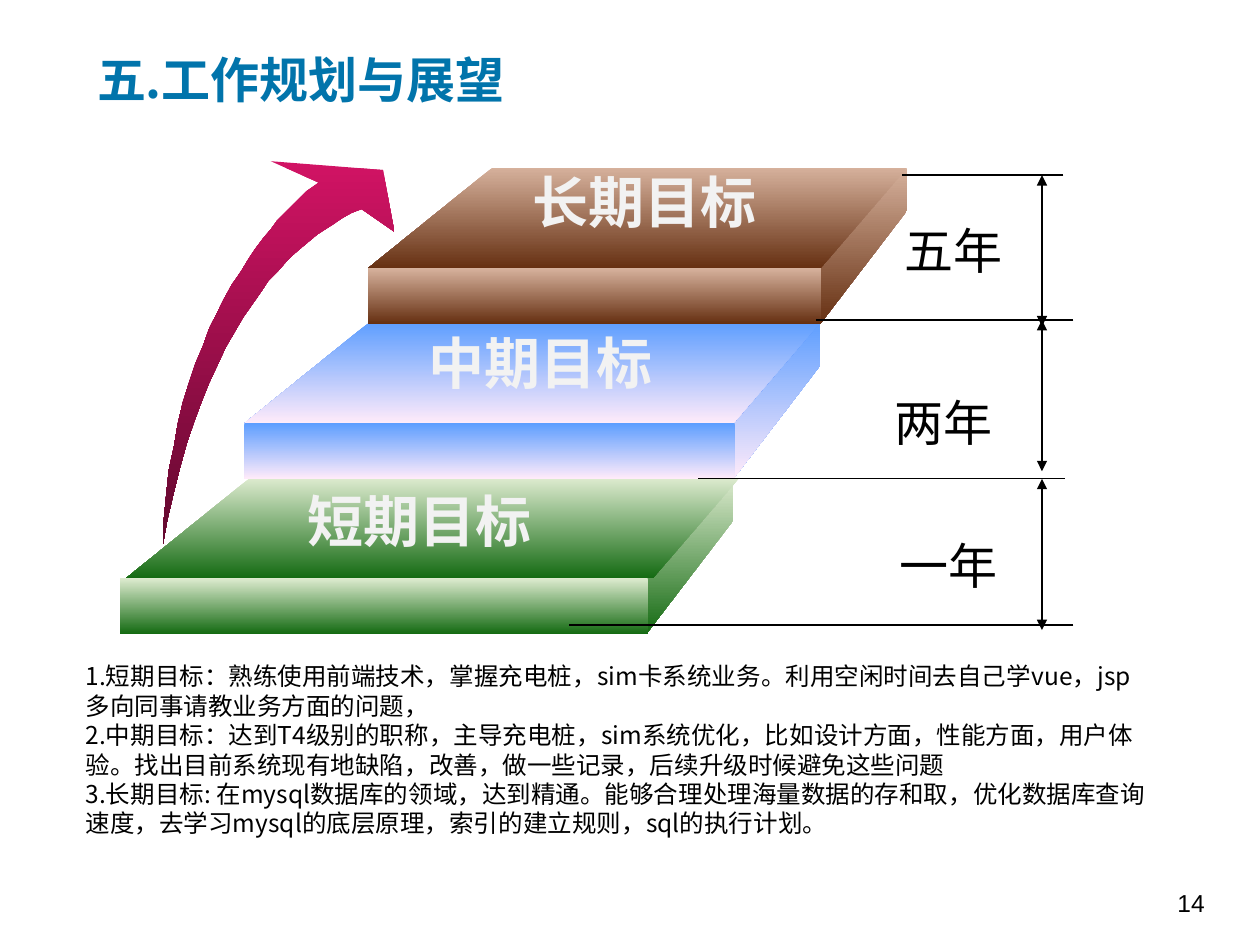
"""Build the work plan slide: three stacked goal steps, a timeline and notes."""
import pptx
import pptx.dml.color
import pptx.enum.shapes
import pptx.enum.text
import pptx.oxml
import pptx.oxml.ns
import pptx.util
from pptx.util import Inches

THEME = {
    "font": "Noto Sans CJK SC", "number_font": "Arial",
    "title": "0174AB", "text": "000000", "goal": "F2F2F2",
    "arrow": ("D11364", "61092E"),
    "title_size": 28, "goal_size": 32, "period_size": 28, "note_size": 14,
    "line_width": 0.75,
}
ALIGN = pptx.enum.text.PP_ALIGN
TITLE = "五.工作规划与展望"
PAGE = "14"
STEPS = [
    {"goal": "长期目标", "label": (4.13, 1.28), "left": 2.92, "width": 3.6, "top": 1.33,
     "overhang": 0, "colors": ("D6B19C", "663012")},
    {"goal": "中期目标", "label": (3.3, 2.56), "left": 1.94, "width": 3.89, "top": 2.56,
     "overhang": 0, "colors": ("5E9EFF", "FFEBFA")},
    {"goal": "短期目标", "label": (2.34, 3.81), "left": 0.95, "width": 4.19, "top": 3.79,
     "overhang": 0.05, "colors": ("DDEBCF", "156B13")},
]
DEPTH_X, DEPTH_Y, BACK_SHIFT, FRONT_HEIGHT = 0.69, 0.8, 0.99, 0.44
PERIODS = [("五年", 7.07, 1.7), ("两年", 6.99, 3.07), ("一年", 7.03, 4.2)]
LEVELS = [(7.16, 8.44, 1.39), (6.48, 8.52, 2.54), (5.54, 8.45, 3.8), (4.52, 8.52, 4.96)]
SPAN_X, SPAN_LENGTH = 8.27, 1.2
ARROW = [
    (1.29, 4.34), (1.3, 4.13), (1.32, 3.92), (1.34, 3.73), (1.38, 3.55), (1.41, 3.37),
    (1.45, 3.2), (1.5, 3.04), (1.55, 2.89), (1.61, 2.75), (1.66, 2.61), (1.72, 2.49),
    (1.78, 2.37), (1.84, 2.26), (1.91, 2.16), (1.97, 2.06), (2.03, 1.97), (2.09, 1.89),
    (2.15, 1.82), (2.2, 1.75), (2.26, 1.69), (2.31, 1.64), (2.36, 1.59), (2.43, 1.52),
    (2.53, 1.45), (2.15, 1.28), (3.04, 1.35), (3.13, 1.84), (2.87, 1.66), (2.79, 1.69),
    (2.72, 1.73), (2.63, 1.79), (2.52, 1.86), (2.46, 1.91), (2.4, 1.96), (2.33, 2.02),
    (2.27, 2.08), (2.2, 2.16), (2.13, 2.23), (2.07, 2.32), (2, 2.42), (1.93, 2.52),
    (1.86, 2.64), (1.79, 2.76), (1.73, 2.89), (1.66, 3.04), (1.6, 3.19), (1.54, 3.35),
    (1.48, 3.53), (1.43, 3.71), (1.38, 3.91), (1.33, 4.12),
]
NOTES = [
    "1.短期目标：熟练使用前端技术，掌握充电桩，sim卡系统业务。利用空闲时间去自己学vue，jsp",
    "多向同事请教业务方面的问题，",
    "2.中期目标：达到T4级别的职称，主导充电桩，sim系统优化，比如设计方面，性能方面，用户体验。"
    "找出目前系统现有地缺陷，改善，做一些记录，后续升级时候避免这些问题",
    "3.长期目标: 在mysql数据库的领域，达到精通。能够合理处理海量数据的存和取，优化数据库查询速度，"
    "去学习mysql的底层原理，索引的建立规则，sql的执行计划。",
]


def rgb(color):
    return pptx.dml.color.RGBColor.from_string(color)


def place(shape, left, top, width, height):
    shape.left, shape.top = Inches(left), Inches(top)
    shape.width, shape.height = Inches(width), Inches(height)


def write(shape, lines, size, color, align=ALIGN.LEFT, bold=False, font=THEME["font"], wrap=True):
    frame = shape.text_frame
    frame.word_wrap = wrap
    if not wrap:
        frame.auto_size = pptx.enum.text.MSO_AUTO_SIZE.SHAPE_TO_FIT_TEXT
    frame.text = "\n".join(lines)
    for paragraph in frame.paragraphs:
        paragraph.alignment = align
        for run in paragraph.runs:
            run.font.size = pptx.util.Pt(size)
            run.font.bold = bold
            run.font.name = font
            run.font.color.rgb = rgb(color)
            east_asian = pptx.oxml.parse_xml(
                f'<a:ea {pptx.oxml.ns.nsdecls("a")} typeface="{font}"/>')
            run.font._element.find(pptx.oxml.ns.qn("a:latin")).addnext(east_asian)


def add_text(slide, box, lines, size, color, **style):
    write(slide.shapes.add_textbox(*map(Inches, box)), lines, size, color, **style)


def shade(shape, colors):
    shape.shadow.inherit = False
    shape.line.fill.background()
    shape.fill.gradient()
    shape.fill.gradient_angle = 270
    for stop, color in zip(shape.fill.gradient_stops, colors):
        stop.color.rgb = rgb(color)


def add_outline(slide, points, colors):
    start, *rest = [(Inches(x), Inches(y)) for x, y in points]
    builder = slide.shapes.build_freeform(*start)
    builder.add_line_segments(rest, close=True)
    shade(builder.convert_to_shape(), colors)


def add_side(slide, step):
    right, top = step["left"] + step["width"] - 0.01, step["top"]
    back, front = right + DEPTH_X, top + DEPTH_Y
    add_outline(slide, [(back, top + 0.34), (right, front + FRONT_HEIGHT), (right, front),
                        (back, top)], step["colors"])


def add_step(slide, step):
    left, width, top = step["left"], step["width"], step["top"]
    front, overhang = top + DEPTH_Y, step["overhang"]
    right = left + width - 0.01 + overhang
    add_outline(slide, [(right, front), (left + overhang, front),
                        (left + BACK_SHIFT + overhang, top), (right + DEPTH_X, top)],
                step["colors"])
    face = slide.shapes.add_shape(pptx.enum.shapes.MSO_SHAPE.RECTANGLE,
                                  *map(Inches, (left, front, width, FRONT_HEIGHT)))
    shade(face, step["colors"])


def add_line(slide, start, end, arrows=False):
    line = slide.shapes.add_connector(pptx.enum.shapes.MSO_CONNECTOR.STRAIGHT,
                                      *map(Inches, start + end))
    line.line.color.rgb = rgb(THEME["text"])
    line.line.width = pptx.util.Pt(THEME["line_width"])
    if arrows:
        for tag in ("headEnd", "tailEnd"):
            line.line._get_or_add_ln().append(pptx.oxml.parse_xml(
                f'<a:{tag} {pptx.oxml.ns.nsdecls("a")} type="triangle"/>'))
    line._element.spPr.append(pptx.oxml.parse_xml(
        f'<a:effectLst {pptx.oxml.ns.nsdecls("a")}/>'))


def main():
    deck = pptx.Presentation()
    deck.slide_width, deck.slide_height = Inches(10), Inches(7.5)
    slide = deck.slides.add_slide(deck.slide_layouts[5])

    title = slide.shapes.title
    place(title, 0.67, 0.21, 6.08, 0.83)
    write(title, [TITLE], THEME["title_size"], THEME["title"], bold=True)
    title.text_frame.vertical_anchor = pptx.enum.text.MSO_ANCHOR.MIDDLE

    for step in STEPS:
        add_side(slide, step)
    for step in reversed(STEPS):
        add_step(slide, step)
    add_outline(slide, ARROW, THEME["arrow"])
    for step in STEPS:
        add_text(slide, (*step["label"], 1.98, 0.64), [step["goal"]], THEME["goal_size"],
                 THEME["goal"], align=ALIGN.CENTER, bold=True, wrap=False)

    for left, right, y in LEVELS:
        add_line(slide, (right, y), (left, y))
    for _, _, y in LEVELS[:-1]:
        add_line(slide, (SPAN_X, y), (SPAN_X, y + SPAN_LENGTH), arrows=True)
    for period, left, top in PERIODS:
        add_text(slide, (left, top, 1, 0.57), [period], THEME["period_size"],
                 THEME["text"], align=ALIGN.CENTER, wrap=False)

    add_text(slide, (0.58, 5.2, 8.65, 1.74), NOTES, THEME["note_size"], THEME["text"])
    add_text(slide, (7.33, 7, 2.33, 0.52), [PAGE], THEME["note_size"], THEME["text"],
             align=ALIGN.RIGHT, font=THEME["number_font"])
    deck.save("out.pptx")


if __name__ == "__main__":
    main()
